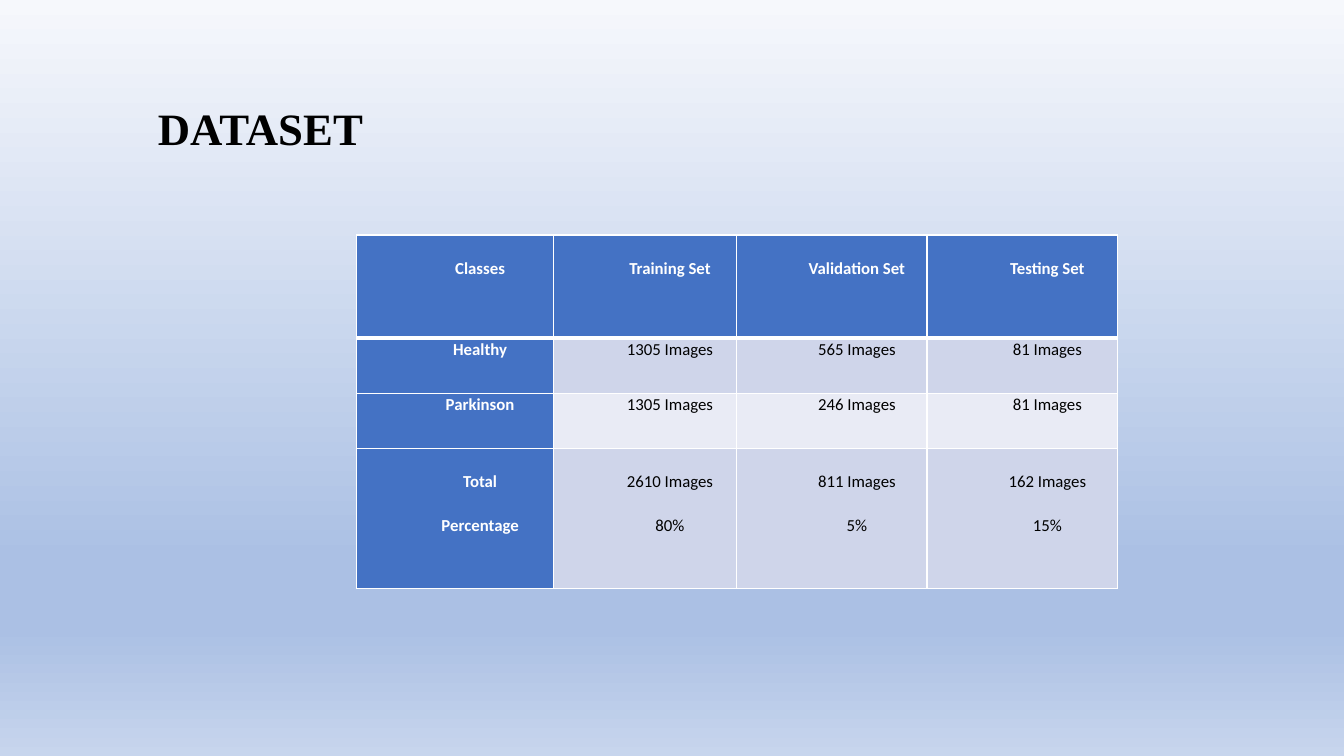
from copy import deepcopy

from lxml import etree
from pptx import Presentation
from pptx.dml.color import RGBColor
from pptx.enum import text
from pptx.oxml.ns import qn
from pptx.util import Cm, Pt

BLACK = RGBColor(0x00, 0x00, 0x00)
WHITE = RGBColor(0xFF, 0xFF, 0xFF)
BLUE = RGBColor(0x44, 0x72, 0xC4)
DARK = RGBColor(0xCF, 0xD5, 0xEA)
LIGHT = RGBColor(0xE9, 0xEB, 0xF5)
SKY = [
    (0, RGBColor(0xF6, 0xF8, 0xFC)),
    (0.74, RGBColor(0xAB, 0xC0, 0xE4)),
    (0.83, RGBColor(0xAB, 0xC0, 0xE4)),
    (1, RGBColor(0xC7, 0xD5, 0xED)),
]

ROWS = [
    ["Classes", "Training Set", "Validation Set", "Testing Set"],
    ["Healthy", "1305 Images", "565 Images", "81 Images"],
    ["Parkinson", "1305 Images", "246 Images", "81 Images"],
    ["Total\nPercentage", "2610 Images\n80%", "811 Images\n5%", "162 Images\n15%"],
]
WIDTHS = [4.95, 4.62, 4.8, 4.8]
HEIGHTS = [2.59, 1.4, 1.4, 3.53]
TOPS = [0.55, 0, 0, 0.55]
BANDS = [BLUE, DARK, LIGHT, DARK]


def edge(cell, side, width):
    """Draw one white border of a cell; side is L, R, T or B."""
    line = etree.SubElement(cell._tc.get_or_add_tcPr(), qn("a:ln" + side), w=str(Pt(width)))
    fill = etree.SubElement(line, qn("a:solidFill"))
    etree.SubElement(fill, qn("a:srgbClr"), val=str(WHITE))


def style(run, font, size, color, bold):
    run.font.name = font
    run.font.size = Pt(size)
    run.font.color.rgb = color
    run.font.bold = bold


deck = Presentation()
deck.slide_width, deck.slide_height = Cm(33.87), Cm(19.05)
slide = deck.slides.add_slide(deck.slide_layouts[6])

# Background gradient, top to bottom
back = slide.background.fill
back.gradient()
back.gradient_angle = 270
stops = slide._element.xpath(".//a:gsLst")[0]
while len(stops) < len(SKY):
    stops.append(deepcopy(stops[0]))
for stop, (place, color) in zip(back.gradient_stops, SKY):
    stop.position = place
    stop.color.rgb = color

# Title
title = slide.shapes.add_textbox(Cm(3.73), Cm(2.41), Cm(6.12), Cm(1.62))
title.text_frame.word_wrap = True
title.text_frame.text = "DATASET"
style(title.text_frame.paragraphs[0].runs[0], "Times New Roman", 32, BLACK, True)

# Table
table = slide.shapes.add_table(
    len(ROWS), len(WIDTHS), Cm(8.99), Cm(5.92), Cm(sum(WIDTHS)), Cm(sum(HEIGHTS))
).table
table.first_col = True
for column, width in zip(table.columns, WIDTHS):
    column.width = Cm(width)

for r, row in enumerate(ROWS):
    table.rows[r].height = Cm(HEIGHTS[r])
    for c, words in enumerate(row):
        cell = table.cell(r, c)
        head = r == 0 or c == 0
        cell.margin_left = cell.margin_right = Cm(0.18)
        cell.margin_top, cell.margin_bottom = Cm(TOPS[r]), 0
        edge(cell, "L", 1)
        edge(cell, "R", 1)
        edge(cell, "T", 3 if r == 1 else 1)
        edge(cell, "B", 3 if r == 0 else 1)
        cell.fill.solid()
        cell.fill.fore_color.rgb = BLUE if head else BANDS[r]
        cell.text_frame.text = words
        for i, para in enumerate(cell.text_frame.paragraphs):
            para.alignment = text.PP_ALIGN.CENTER
            para.line_spacing = 1.07
            para.space_before = Pt(15.7 * i)
            para._p.get_or_add_pPr().set("marL", str(Cm(1.27)))
            style(para.runs[0], "Calibri", 12, WHITE if head else BLACK, head)

deck.save("out.pptx")
